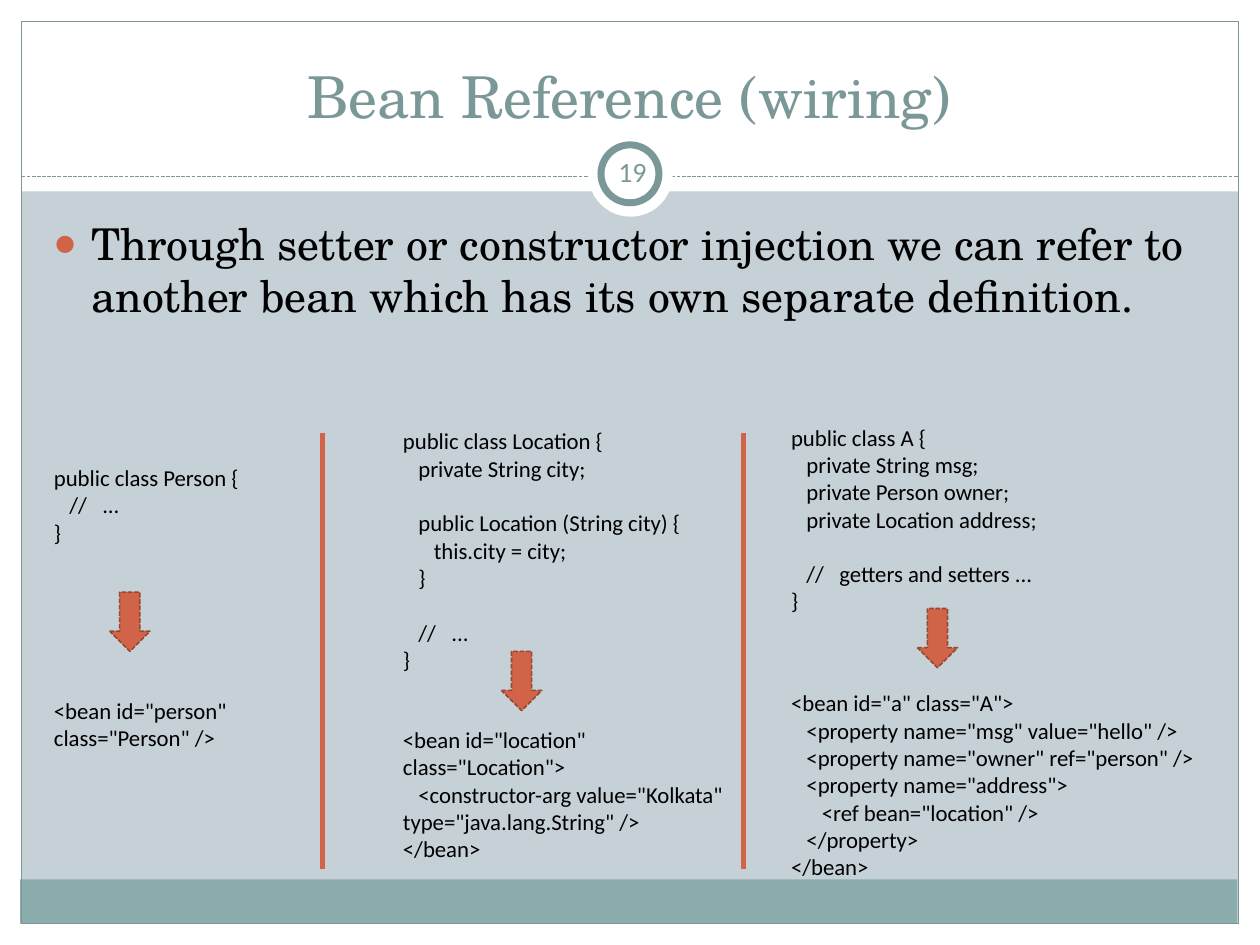
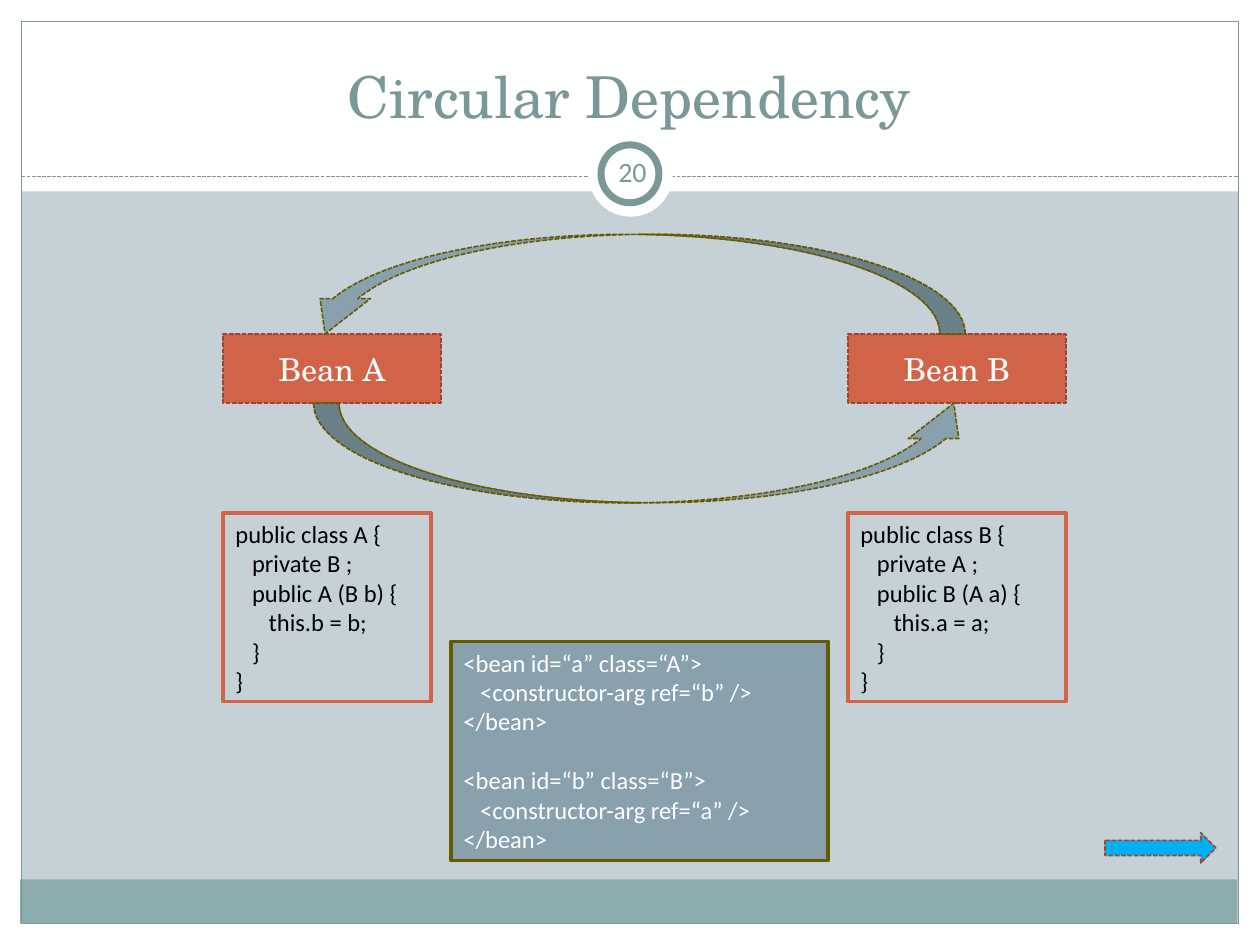
from copy import deepcopy

from lxml import etree
from pptx import Presentation
from pptx.dml.color import RGBColor
from pptx.enum.dml import MSO_LINE
from pptx.enum.shapes import MSO_CONNECTOR, MSO_SHAPE
from pptx.enum.text import MSO_ANCHOR, MSO_AUTO_SIZE, PP_ALIGN
from pptx.oxml.ns import qn
from pptx.util import Inches, Pt

RECTANGLE, OVAL = MSO_SHAPE.RECTANGLE, MSO_SHAPE.OVAL
DOWN_ARROW, RIGHT_ARROW = MSO_SHAPE.DOWN_ARROW, MSO_SHAPE.RIGHT_ARROW
STRAIGHT, DASH = MSO_CONNECTOR.STRAIGHT, MSO_LINE.SQUARE_DOT
TOP, MIDDLE, BOTTOM = MSO_ANCHOR.TOP, MSO_ANCHOR.MIDDLE, MSO_ANCHOR.BOTTOM
LEFT, CENTER = PP_ALIGN.LEFT, PP_ALIGN.CENTER

COLORS = {
    "background": "C5D1D7", "white": "FFFFFF", "black": "000000",
    "teal": "7B9899", "footer": "8CADAE", "orange": "D16349",
    "rust": "994733", "steel": "88A1AD", "olive": "665A00", "sky": "00B0F0",
}
SERIF, SANS = "TeX Gyre Schola", "Calibri"
SPACE_WIDTH = 0.226  # width of a Calibri space, in ems
LINE_HEIGHT = 1.2


def style(shape, fill=None, line=None, width=0.91, dash=None):
    """Set fill and outline, and switch the theme shadow off."""
    if hasattr(shape, "fill"):
        if fill:
            shape.fill.solid()
            shape.fill.fore_color.rgb = RGBColor.from_string(COLORS[fill])
        else:
            shape.fill.background()
    if line:
        shape.line.color.rgb = RGBColor.from_string(COLORS[line])
        shape.line.width = Pt(width)
        shape.line.dash_style = dash
    else:
        shape.line.fill.background()
    etree.SubElement(shape.element.spPr, qn("a:effectLst"))


def write(shape, text, size, font=SANS, color="black", align=LEFT, anchor=TOP, side=0.1):
    """Write lines; leading spaces become indents, empty lines spacing."""
    frame = shape.text_frame
    settings = {
        "word_wrap": True, "auto_size": MSO_AUTO_SIZE.NONE, "vertical_anchor": anchor,
        "margin_left": Inches(side), "margin_right": Inches(side),
        "margin_top": Inches(0.05), "margin_bottom": Inches(0.05),
    }
    for name, value in settings.items():
        setattr(frame, name, value)
    para, gap = frame.paragraphs[0], 0
    for number, line in enumerate(text.split("\n")):
        if not line:
            gap = size * LINE_HEIGHT
            continue
        if number:
            para = frame.add_paragraph()
        para.alignment = align
        para.space_before, gap = Pt(gap), 0
        code = line.lstrip()
        indent = Pt((len(line) - len(code)) * SPACE_WIDTH * size)
        para._p.get_or_add_pPr().set("indent", str(indent))
        span = para.add_run()
        span.text = code
        span.font.size, span.font.name = Pt(size), font
        span.font.color.rgb = RGBColor.from_string(COLORS[color])


deck = Presentation()
deck.slide_width, deck.slide_height = Inches(10), Inches(7.5)
layout = deck.slide_layouts[5]
layout.background.fill.solid()
layout.background.fill.fore_color.rgb = RGBColor.from_string(COLORS["background"])

# Pages with title and number
pages = []
for title, number in [("Bean Reference (wiring)", "19"), ("Circular Dependency", "20")]:
    page = deck.slides.add_slide(layout)
    heading = page.shapes.title
    heading.left, heading.top = Inches(0.33), Inches(0.25)
    heading.width, heading.height = Inches(9.33), Inches(0.83)
    write(heading, title, 33, SERIF, "teal", CENTER, BOTTOM)
    box = page.shapes.add_textbox(*map(Inches, (4.77, 1.12, 0.5, 0.48)))
    write(box, number, 16, SANS, "teal", CENTER, MIDDLE, 0.05)
    pages.append(page)
wiring, circular = pages

# Shared frame: drawn once, then moved to the layout
frame_parts = [
    (RECTANGLE, (0, 7.33, 10, 0.17), {"fill": "white"}),
    (RECTANGLE, (0, 0, 10, 1.52), {"fill": "white"}),
    (RECTANGLE, (0, 0, 0.17, 7.5), {"fill": "white"}),
    (RECTANGLE, (9.83, 0, 0.17, 7.5), {"fill": "white"}),
    (RECTANGLE, (0.16, 6.98, 9.66, 0.35), {"fill": "footer"}),
    (RECTANGLE, (0.17, 0.17, 9.66, 7.16), {"line": "teal", "width": 0.74}),
    (None, (0.17, 1.4, 9.83, 1.4), {"line": "teal", "width": 0.74, "dash": DASH}),
    (OVAL, (4.67, 1.05, 0.67, 0.67), {"fill": "white"}),
    (OVAL, (4.77, 1.15, 0.46, 0.46), {"fill": "white", "line": "teal", "width": 4}),
]
for kind, place, look in frame_parts:
    if kind is None:
        part = wiring.shapes.add_connector(STRAIGHT, *map(Inches, place))
    else:
        part = wiring.shapes.add_shape(kind, *map(Inches, place))
    style(part, **look)
    layout.shapes.element.append(part.element)

# Wiring: bulleted statement
box = wiring.shapes.add_textbox(*map(Inches, (0.33, 1.67, 9.3, 1.45)))
write(box, "Through setter or constructor injection we can refer to another bean "
      "which has its own separate definition.", 25, SERIF)
para = box.text_frame.paragraphs[0]
para.space_before = Pt(6.8)
settings = para._p.get_or_add_pPr()
settings.set("marL", str(Inches(0.3)))
settings.set("indent", str(Inches(-0.3)))
bullet_color = etree.SubElement(settings, qn("a:buClr"))
etree.SubElement(bullet_color, qn("a:srgbClr"), val=COLORS["orange"])
etree.SubElement(settings, qn("a:buSzPct"), val="85000")
etree.SubElement(settings, qn("a:buFont"), typeface=SANS)
etree.SubElement(settings, qn("a:buChar"), char="●")

# Wiring: classes and their bean definitions
person_class = """public class Person {
   //   ...
}"""
location_class = """public class Location {
   private String city;

   public Location (String city) {
      this.city = city;
   }

   //   ...
}"""
a_class = """public class A {
   private String msg;
   private Person owner;
   private Location address;

   //   getters and setters ...
}"""
person_bean = '<bean id="person" class="Person" />'
location_bean = """<bean id="location" class="Location">
   <constructor-arg value="Kolkata" type="java.lang.String" />
</bean>"""
a_bean = """<bean id="a" class="A">
   <property name="msg" value="hello" />
   <property name="owner" ref="person" />
   <property name="address">
      <ref bean="location" />
   </property>
</bean>"""
listings = [
    (person_class, (0.33, 3.63, 1.84, 0.75)),
    (location_class, (3.1, 3.34, 2.6, 2.06)),
    (a_class, (6.18, 3.31, 3.39, 1.62)),
    (person_bean, (0.33, 5.48, 1.84, 0.54)),
    (location_bean, (3.1, 5.71, 2.76, 1.19)),
    (a_bean, (6.18, 5.42, 3.49, 1.62)),
]
for code, place in listings:
    write(wiring.shapes.add_textbox(*map(Inches, place)), code, 13)

# Wiring: arrows and column dividers
for left, top in [(7.28, 4.83), (3.98, 5.17), (0.87, 4.7)]:
    arrow = wiring.shapes.add_shape(DOWN_ARROW, *map(Inches, (left, top, 0.32, 0.47)))
    style(arrow, "orange", "rust", dash=DASH)
for x in (2.56, 5.9):
    divider = wiring.shapes.add_connector(STRAIGHT, *map(Inches, (x, 3.44, x, 6.9)))
    style(divider, line="orange", width=3)

# Circular: the two beans
for name, left in [("A", 1.77), ("B", 6.73)]:
    bean = circular.shapes.add_shape(RECTANGLE, *map(Inches, (left, 2.65, 1.73, 0.55)))
    style(bean, "orange", "rust", dash=DASH)
    write(bean, f"Bean {name}", 18, SERIF, "white", CENTER, MIDDLE)

# Circular: one upright curved arrow, turned either way
arrow_height, radius_x, radius_y = 5.27, 0.79, 2.49
corners = [
    (0.79, 0), (0, 2.49), (0, 2.59), (0, 2.69), (0.51, 5.02), (0.51, 5.12),
    (0.79, 5.08), (0.51, 4.72), (0.51, 4.82), (0, 2.59), (0.79, 0.2),
]
arcs = {1: (270, -90), 4: (180, -83.15), 9: (96.85, 75.93), 10: (187.22, 82.78)}
for left, top, rotation in [(4.73, 0.96, 270), (4.63, -0.38, 90)]:
    points = [(Inches(x), Inches(y)) for x, y in corners]
    builder = circular.shapes.build_freeform(*points[0])
    builder.add_line_segments(points[1:], close=True)
    arrow = builder.convert_to_shape()
    style(arrow, "steel", "olive", dash=DASH)
    arrow.left, arrow.top, arrow.height = Inches(left), Inches(top), Inches(arrow_height)
    arrow.rotation = rotation
    outline = next(arrow.element.iter(qn("a:path")))
    outline.set("h", str(Inches(arrow_height)))
    for number, (start, sweep) in arcs.items():
        arc = etree.Element(qn("a:arcTo"))
        arc.set("wR", str(Inches(radius_x)))
        arc.set("hR", str(Inches(radius_y)))
        arc.set("stAng", str(round(start * 60000)))
        arc.set("swAng", str(round(sweep * 60000)))
        outline.replace(outline[number], arc)
    # The tail is the same outline without its head, one shade darker
    tail = deepcopy(outline)
    tail.set("fill", "darkenLess")
    for step in tail[3:10]:
        tail.remove(step)
    outline.addnext(tail)

# Circular: code boxes
for own, other, left, width in [("A", "B", 1.77, 1.65), ("B", "A", 6.73, 1.73)]:
    field = other.lower()
    code = f"""public class {own} {{
   private {other} ;
   public {own} ({other} {field}) {{
      this.{field} = {field};
   }}
}}"""
    box = circular.shapes.add_shape(RECTANGLE, *map(Inches, (left, 4.07, width, 1.5)))
    style(box, line="orange", width=2)
    write(box, code, 14)

definitions = [
    f"<bean id=“{own.lower()}” class=“{own}”>\n   <constructor-arg ref=“{other}” />\n</bean>"
    for own, other in [("A", "b"), ("B", "a")]
]
box = circular.shapes.add_shape(RECTANGLE, *map(Inches, (3.58, 5.09, 2.99, 1.74)))
style(box, "steel", "olive", 2)
write(box, "\n\n".join(definitions), 14, color="white")

# Circular: arrow to the next page
arrow = circular.shapes.add_shape(RIGHT_ARROW, *map(Inches, (8.77, 6.61, 0.88, 0.24)))
style(arrow, "sky", "rust", dash=DASH)

deck.save("out.pptx")
